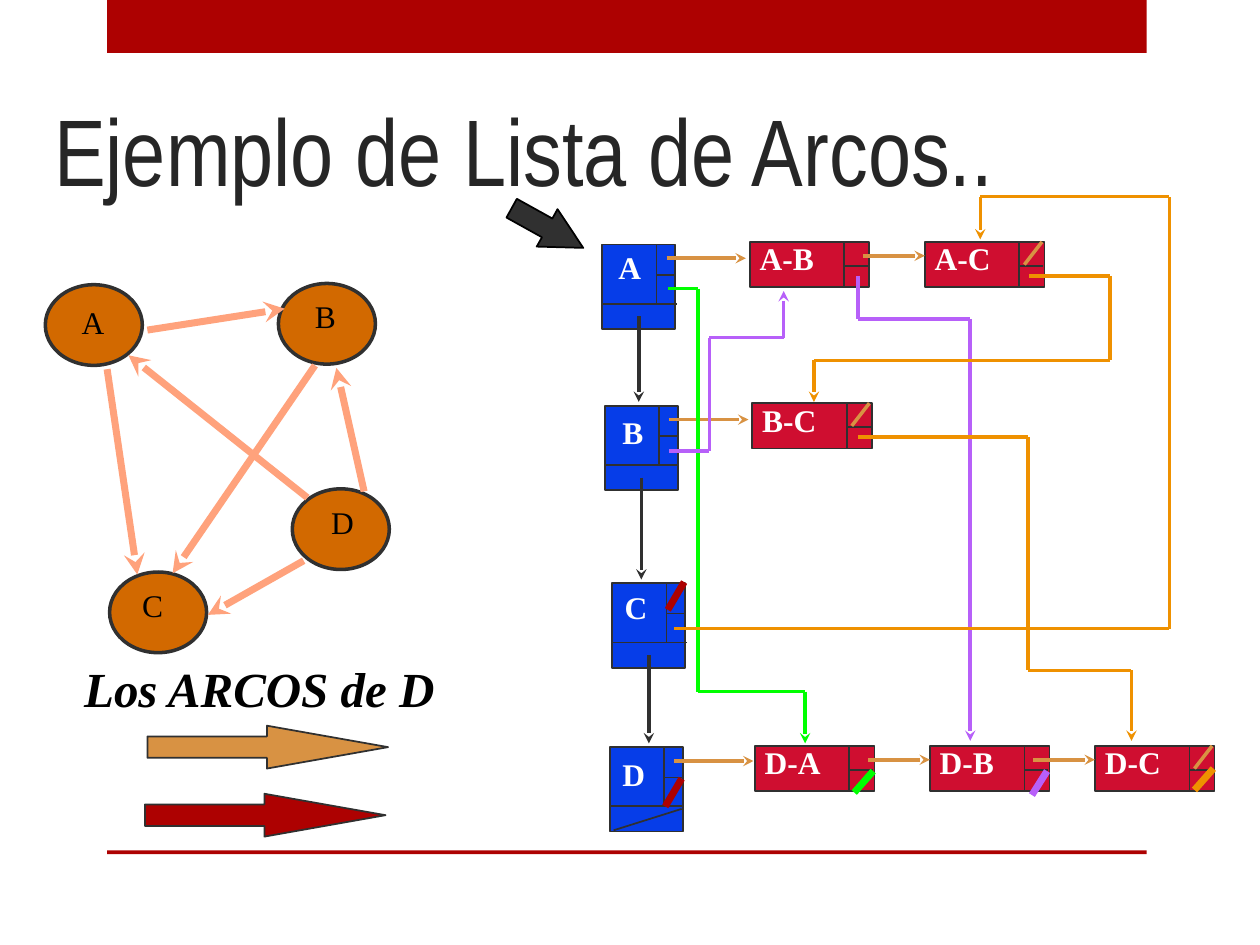
"""Build the slide that shows a graph and its list of arcs."""
from itertools import pairwise

from lxml.etree import SubElement
from pptx import Presentation
from pptx.dml.color import RGBColor
from pptx.enum.shapes import MSO_CONNECTOR, MSO_SHAPE
from pptx.enum.text import MSO_ANCHOR, MSO_AUTO_SIZE, PP_ALIGN
from pptx.oxml.ns import qn
from pptx.util import Inches, Pt

DARK, RED, BLUE, CRIMSON = "303030", "AD0101", "063DE8", "CF0E30"
SALMON, TAN, GREEN, PURPLE, ORANGE = "FFA27C", "D89243", "00FF00", "B760F9", "EF9100"


def add_box(shapes, kind, box, fill, outline=DARK, width=1):
    shape = shapes.add_shape(kind, *map(Inches, box))
    shape.shadow.inherit = False
    shape.fill.solid()
    shape.fill.fore_color.rgb = RGBColor.from_string(fill)
    if outline:
        shape.line.color.rgb = RGBColor.from_string(outline)
        shape.line.width = Pt(width)
    else:
        shape.line.fill.background()
    return shape


def add_path(shapes, points, color, width, arrow=False):
    for start, end in pairwise(points):
        connector = shapes.add_connector(
            MSO_CONNECTOR.STRAIGHT, *map(Inches, (*start, *end)))
        connector.line.color.rgb = RGBColor.from_string(color)
        connector.line.width = Pt(width)
        if arrow and end == points[-1]:
            SubElement(connector.line._get_or_add_ln(), qn("a:tailEnd"), type="stealth")
        SubElement(connector._element.spPr, qn("a:effectLst"))


presentation = Presentation()
presentation.slide_width, presentation.slide_height = Inches(10), Inches(7.5)
slide = presentation.slides.add_slide(presentation.slide_layouts[5])
shapes = slide.shapes

title = shapes.title
title.left, title.top, title.width, title.height = map(Inches, (0.33, 0.43, 9.26, 1.25))
title.text_frame.text = "Ejemplo de Lista de Arcos.."
title.text_frame.vertical_anchor = MSO_ANCHOR.BOTTOM
title.text_frame.auto_size = MSO_AUTO_SIZE.NONE
paragraph = title.text_frame.paragraphs[0]
paragraph.alignment = PP_ALIGN.LEFT
for name, value in {"name": "Arial Narrow", "size": Pt(54)}.items():
    setattr(paragraph.font, name, value)
paragraph.font.color.rgb = RGBColor.from_string("262626")

for top, height in [(0, 0.42), (6.75, 0.03)]:
    add_box(shapes, MSO_SHAPE.RECTANGLE, (0.85, top, 8.25, height), RED, None)

plain = {"size": Pt(18), "name": "Times New Roman"}
bold = {**plain, "bold": True}
heading = {**bold, "size": Pt(28), "italic": True}
labels = [("Los ARCOS de D", (0.57, 5.18, 3, 0.57), "000000", heading)]

graph_nodes = [
    ("A", 0.36, 2.26, 0.55, 2.36),
    ("B", 2.21, 2.25, 2.4, 2.31),
    ("C", 0.87, 4.54, 1.03, 4.6),
    ("D", 2.32, 3.88, 2.53, 3.94),
]
for text, left, top, text_left, text_top in graph_nodes:
    add_box(shapes, MSO_SHAPE.OVAL, (left, top, 0.77, 0.64), "D26900", width=2)
    labels.append((text, (text_left, text_top, 0.43, 0.5), "000000", plain))

graph_arcs = [
    [(1.17, 2.62), (2.26, 2.45)],
    [(2.44, 3.95), (1.02, 2.82)],
    [(2.5, 2.9), (1.37, 4.55)],
    [(2.41, 4.45), (1.65, 4.88)],
    [(0.85, 2.93), (1.09, 4.56)],
    [(2.89, 3.9), (2.67, 2.92)],
]
for points in graph_arcs:
    add_path(shapes, points, SALMON, 4, True)

vertices = [
    ("A", 4.78, 1.94, 4.81, 1.92),
    ("B", 4.8, 3.22, 4.84, 3.23),
    ("C", 4.86, 4.63, 4.86, 4.62),
    ("D", 4.84, 5.93, 4.84, 5.94),
]
for text, left, top, text_left, text_top in vertices:
    add_box(shapes, MSO_SHAPE.RECTANGLE, (left, top, 0.58, 0.67), BLUE)
    divider = left + 0.43
    add_path(shapes, [(left, top + 0.47), (left + 0.59, top + 0.47)], DARK, 1)
    add_path(shapes, [(divider, top), (divider, top + 0.47)], DARK, 1)
    add_path(shapes, [(divider, top + 0.24), (left + 0.58, top + 0.24)], DARK, 1)
    labels.append((text, (text_left, text_top, 0.39, 0.4), "FFFFFF", bold))
    if text != "C":
        add_path(shapes, [(left + 0.51, top + 0.11), (left + 1.14, top + 0.11)],
                 TAN, 2, True)
for (_, left, top, *_), (_, _, next_top, *_) in pairwise(vertices):
    add_path(shapes, [(left + 0.29, top + 0.57), (left + 0.29, next_top - 0.03)],
             DARK, 2, True)
add_path(shapes, [(4.87, 6.59), (5.41, 6.42)], DARK, 1)

arc_nodes = [
    ("A-B", 5.95, 1.92, True),
    ("A-C", 7.34, 1.92, False),
    ("B-C", 5.97, 3.2, False),
    ("D-A", 5.99, 5.92, True),
    ("D-B", 7.38, 5.92, True),
    ("D-C", 8.69, 5.92, False),
]
for text, left, top, has_next in arc_nodes:
    group = shapes.add_group_shape().shapes
    add_box(group, MSO_SHAPE.RECTANGLE, (left, top, 0.95, 0.36), CRIMSON)
    divider = left + 0.75
    add_path(group, [(divider, top + 0.01), (divider, top + 0.36)], DARK, 1)
    add_path(group, [(divider, top + 0.19), (left + 0.94, top + 0.19)], DARK, 1)
    labels.append((text, (left - 0.02, top - 0.07, 0.65, 0.4), "FFFFFF", bold))
for text, left, top, has_next in arc_nodes:
    if has_next:
        start = left + (0.82 if text == "D-B" else 0.9)
        add_path(shapes, [(start, top + 0.11), (start + 0.49, top + 0.11)], TAN, 2, True)
    else:
        add_path(shapes, [(left + 0.79, top + 0.18), (left + 0.93, top)], TAN, 2)

end_marks = [
    ((5.3, 4.84), (5.43, 4.62), RED),
    ((5.28, 6.4), (5.41, 6.18), RED),
    ((6.78, 6.29), (6.93, 6.12), GREEN),
    ((8.31, 6.12), (8.19, 6.31), PURPLE),
    ((9.48, 6.27), (9.63, 6.1), ORANGE),
]
for start, end, color in end_marks:
    add_path(shapes, [start, end], color, 4)

incoming_links = [
    (GREEN, [(5.3, 2.29), (5.54, 2.29), (5.54, 5.49), (6.39, 5.49), (6.39, 5.9)]),
    (PURPLE, [(5.31, 3.58), (5.63, 3.58), (5.63, 2.68), (6.22, 2.68), (6.22, 2.31)]),
    (PURPLE, [(6.81, 2.19), (6.81, 2.53), (7.7, 2.53), (7.7, 5.88)]),
    (ORANGE, [(5.35, 4.99), (9.28, 4.99), (9.28, 1.56), (7.78, 1.56), (7.78, 1.9)]),
    (ORANGE, [(8.17, 2.19), (8.81, 2.19), (8.81, 2.86), (6.46, 2.86), (6.46, 3.19)]),
    (ORANGE, [(6.81, 3.47), (8.16, 3.47), (8.16, 5.32), (8.98, 5.32), (8.98, 5.88)]),
]
for color, points in incoming_links:
    add_path(shapes, points, color, 2, True)

block_arrows = [
    ((4.02, 1.64, 0.65, 0.34), DARK, "000000", 0.964, 29),
    ((1.17, 5.76, 1.91, 0.34), TAN, DARK, 2.826, 0),
    ((1.15, 6.3, 1.91, 0.34), RED, DARK, 2.826, 0),
]
for box, fill, outline, head_length, rotation in block_arrows:
    arrow = add_box(shapes, MSO_SHAPE.RIGHT_ARROW, box, fill, outline)
    arrow.adjustments[1] = head_length
    arrow.rotation = rotation

for text, box, color, font_format in labels:
    frame = shapes.add_textbox(*map(Inches, box)).text_frame
    frame.word_wrap = False
    frame.auto_size = MSO_AUTO_SIZE.SHAPE_TO_FIT_TEXT
    frame.text = text
    font = frame.paragraphs[0].runs[0].font
    for name, value in font_format.items():
        setattr(font, name, value)
    font.color.rgb = RGBColor.from_string(color)

presentation.save("out.pptx")
